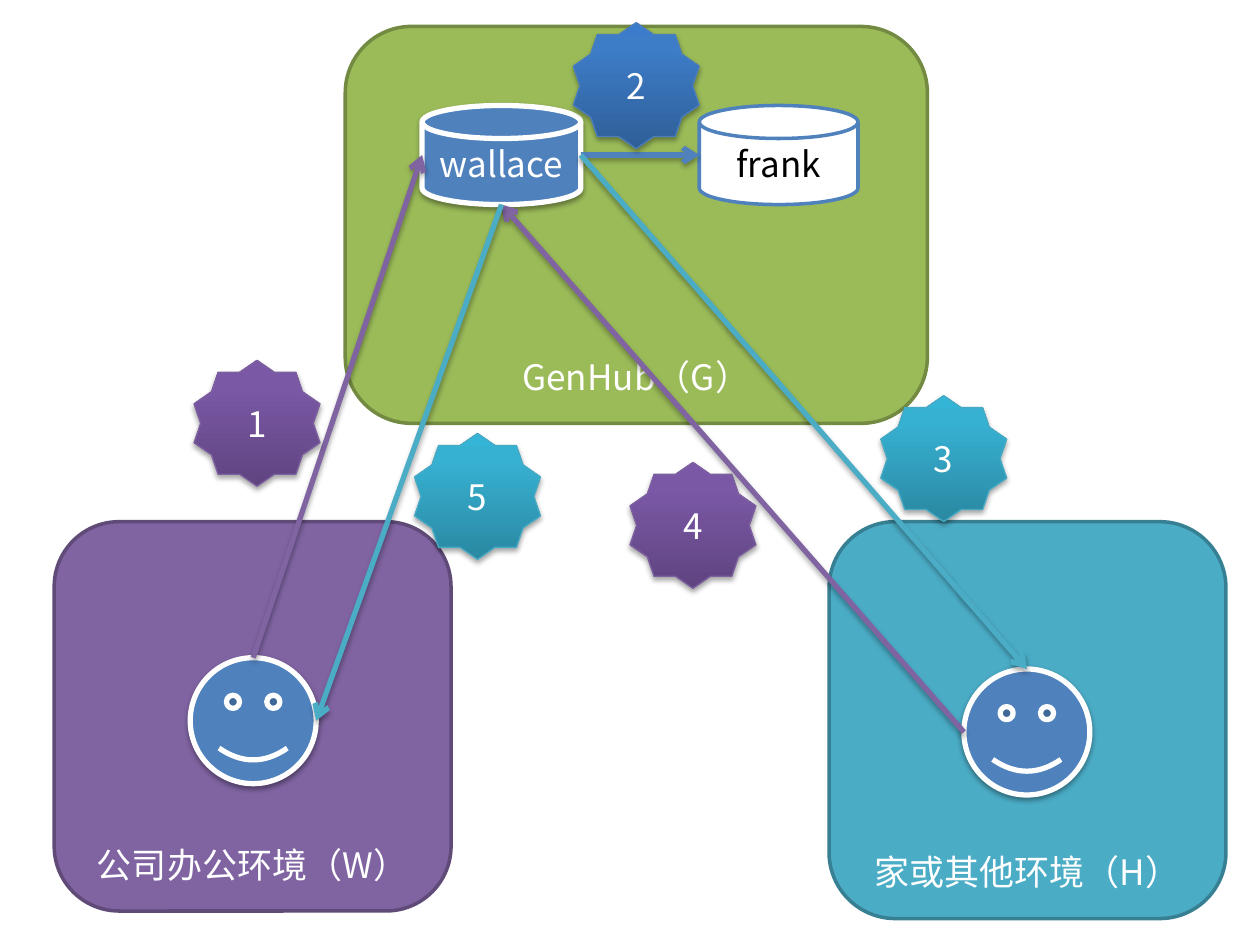
import dataclasses
import lxml.etree
import pptx
import pptx.dml.color
import pptx.enum.shapes
import pptx.enum.text
import pptx.oxml.ns
import pptx.util

SHAPES = pptx.enum.shapes.MSO_SHAPE
ANCHORS = pptx.enum.text.MSO_ANCHOR
COLUMNS, ROWS = 100, 75
CELL = pptx.util.Inches(0.1)


@dataclasses.dataclass(frozen=True)
class Theme:
    font: str = "Noto Sans CJK SC"
    size: int = 20
    white: str = "FFFFFF"
    black: str = "000000"
    blue: str = "4F81BD"
    purple: str = "8064A2"
    teal: str = "4BACC6"
    green: str = "9BBB59"
    purple_edge: str = "5F4A78"
    teal_edge: str = "377F92"
    green_edge: str = "738A42"
    purple_badge: tuple = ("5F4480", "7B58A6", "7C57A8", "7D60A0")
    blue_badge: tuple = ("2F5F99", "3D7CC7", "3A7CCB", "4B7EBC")
    teal_badge: tuple = ("2A88A2", "37B1D2", "34B4D6", "46AAC5")


THEME = Theme()


def grid(cells):
    return round(cells * CELL)


def rgb(value):
    return pptx.dml.color.RGBColor.from_string(value)


def add_element(parent, tag, **attributes):
    return lxml.etree.SubElement(parent, pptx.oxml.ns.qn(tag), attributes)


def set_line(shape, color, width):
    shape.line.color.rgb = rgb(color)
    shape.line.width = pptx.util.Pt(width)


def add_shadow(effects, distance, opacity):
    shadow = add_element(effects, "a:outerShdw", blurRad=str(pptx.util.Pt(3.1)),
                         dist=str(pptx.util.Pt(distance)), dir="5400000", rotWithShape="0")
    color = add_element(shadow, "a:srgbClr", val=THEME.black)
    add_element(color, "a:alpha", val=str(opacity * 1000))


def shape_shadow(shape, distance, opacity):
    effects = shape._element.spPr.find(pptx.oxml.ns.qn("a:effectLst"))
    add_shadow(effects, distance, opacity)


def add_figure(slide, kind, box, line_color, line_width, fill=None):
    shape = slide.shapes.add_shape(kind, *map(grid, box))
    shape.shadow.inherit = False
    if fill:
        shape.fill.solid()
        shape.fill.fore_color.rgb = rgb(fill)
    set_line(shape, line_color, line_width)
    return shape


def write(shape, text, color=THEME.white, anchor=ANCHORS.MIDDLE):
    shape.text_frame.vertical_anchor = anchor
    paragraph = shape.text_frame.paragraphs[0]
    paragraph.text = text
    paragraph.alignment = pptx.enum.text.PP_ALIGN.CENTER
    font = paragraph.font
    font.size = pptx.util.Pt(THEME.size)
    font.color.rgb = rgb(color)
    font.name = THEME.font
    add_element(font._element, "a:ea", typeface=THEME.font)


def add_environment(slide, text, box, fill, edge):
    shape = add_figure(slide, SHAPES.ROUNDED_RECTANGLE, box, edge, 2, fill)
    write(shape, text, anchor=ANCHORS.BOTTOM)


def add_repository(slide, name, left, fill, edge, width, text_color):
    box = (left, 8.37, 12.6, 7.87)
    shape = add_figure(slide, SHAPES.FLOWCHART_MAGNETIC_DISK, box, edge, width, fill)
    write(shape, name, text_color)
    return shape


def add_user(slide, left, top):
    shape = add_figure(slide, SHAPES.SMILEY_FACE, (left, top, 10, 10), THEME.white, 3, THEME.blue)
    shape_shadow(shape, 1.6, 38)
    return shape


def add_badge(slide, number, left, top, palette):
    *stops, edge = palette
    shape = add_figure(slide, SHAPES.STAR_10_POINT, (left, top, 10, 10), edge, 0.75)
    shape.fill.gradient()
    shape.fill.gradient_angle = 90
    stop_list = shape._element.spPr.find(".//" + pptx.oxml.ns.qn("a:gsLst"))
    stop_list.clear()
    for position, color in zip((0, 80, 100), stops):
        stop = add_element(stop_list, "a:gs", pos=str(position * 1000))
        add_element(stop, "a:srgbClr", val=color)
    shape_shadow(shape, 1.8, 35)
    write(shape, str(number))


def side(shape, name):
    across, down = {"top": (0.5, 0), "left": (0, 0.5),
                    "bottom": (0.5, 1), "right": (1, 0.5)}[name]
    return (round(shape.left + across * shape.width),
            round(shape.top + down * shape.height))


def add_arrow(slide, start, end, color):
    straight = pptx.enum.shapes.MSO_CONNECTOR.STRAIGHT
    arrow = slide.shapes.add_connector(straight, *side(*start), *side(*end))
    set_line(arrow, color, 3)
    properties = arrow._element.spPr
    add_element(properties.find(pptx.oxml.ns.qn("a:ln")), "a:tailEnd", type="arrow")
    add_shadow(add_element(properties, "a:effectLst"), 1.8, 35)


def main():
    presentation = pptx.Presentation()
    presentation.slide_width = grid(COLUMNS)
    presentation.slide_height = grid(ROWS)
    slide = presentation.slides.add_slide(presentation.slide_layouts[6])

    for environment in (
        ("公司办公环境（W）", (4.3, 41.4, 31.5, 30.9), THEME.purple, THEME.purple_edge),
        ("GenHub（G）", (27.4, 2.1, 46.2, 31.5), THEME.green, THEME.green_edge),
        ("家或其他环境（H）", (65.8, 41.4, 31.5, 31.5), THEME.teal, THEME.teal_edge),
    ):
        add_environment(slide, *environment)

    wallace = add_repository(slide, "wallace", 33.5, THEME.blue, THEME.white, 3, THEME.white)
    shape_shadow(wallace, 1.6, 38)
    frank = add_repository(slide, "frank", 55.5, THEME.white, THEME.blue, 2, THEME.black)
    office_user = add_user(slide, 15.1, 52.2)
    home_user = add_user(slide, 76.5, 53.1)

    for start, end, color in (
        ((office_user, "top"), (wallace, "left"), THEME.purple),
        ((wallace, "right"), (frank, "left"), THEME.blue),
        ((wallace, "right"), (home_user, "top"), THEME.teal),
        ((home_user, "left"), (wallace, "bottom"), THEME.purple),
        ((wallace, "bottom"), (office_user, "right"), THEME.teal),
    ):
        add_arrow(slide, start, end, color)

    badges = (
        (15.4, 28.6, THEME.purple_badge),
        (45.5, 1.8, THEME.blue_badge),
        (69.9, 31.4, THEME.teal_badge),
        (50, 36.7, THEME.purple_badge),
        (32.9, 34.4, THEME.teal_badge),
    )
    for number, badge in enumerate(badges, 1):
        add_badge(slide, number, *badge)

    presentation.save("out.pptx")


main()
